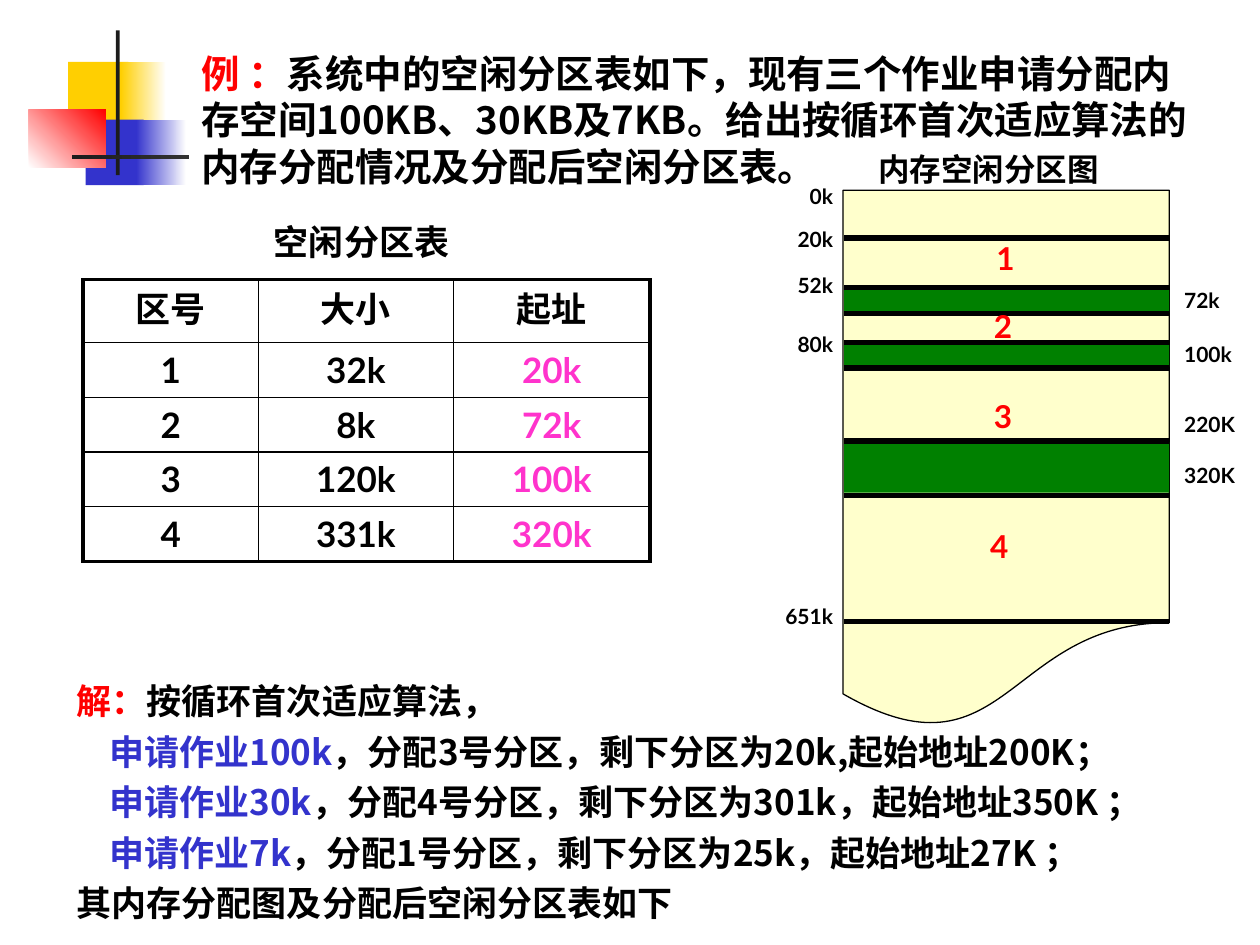
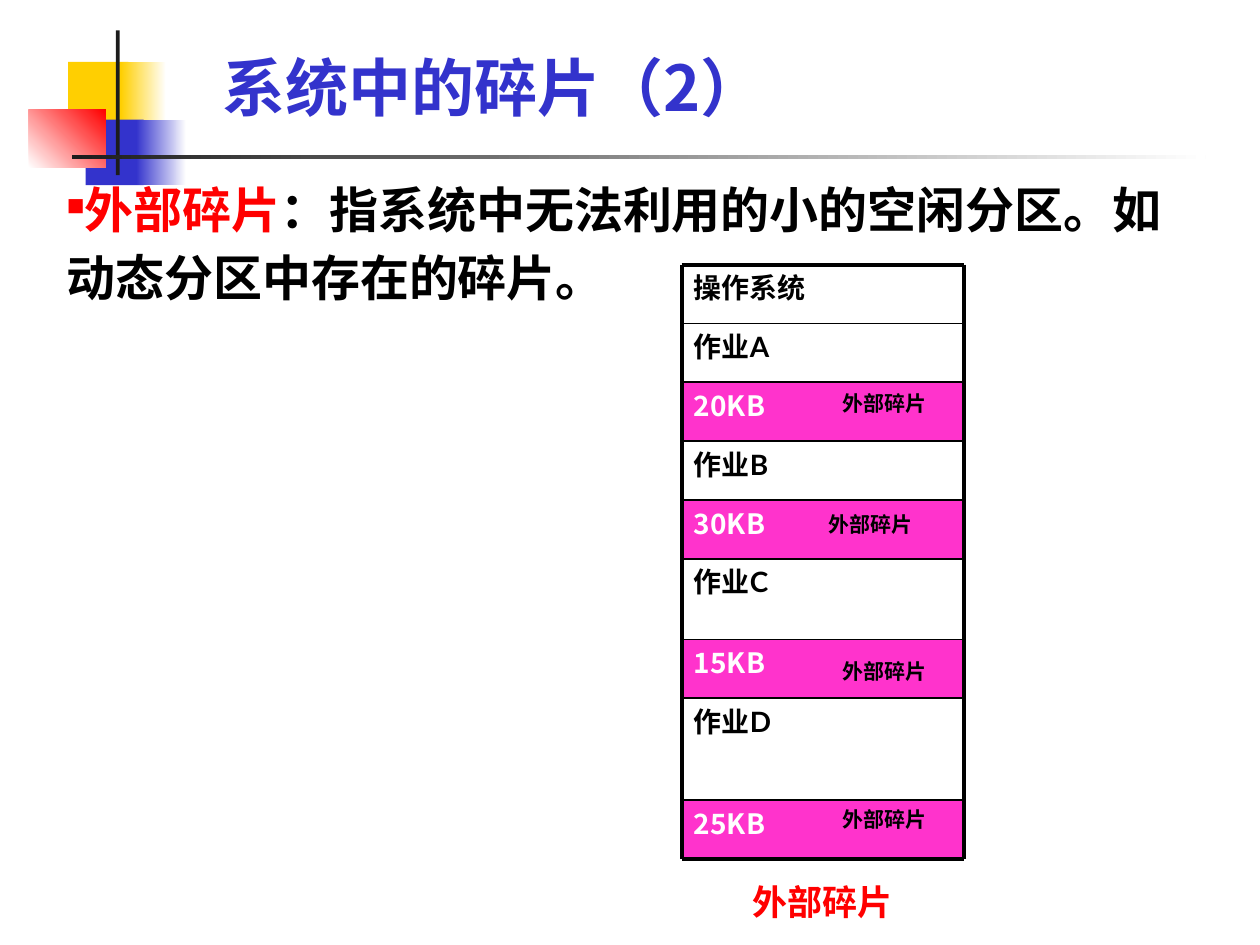
from dataclasses import dataclass
from itertools import accumulate

from lxml.etree import SubElement
from pptx import Presentation
from pptx.dml.color import RGBColor
from pptx.enum.shapes import MSO_CONNECTOR, MSO_SHAPE
from pptx.enum.text import MSO_ANCHOR, PP_ALIGN
from pptx.oxml.ns import qn
from pptx.util import Inches, Pt


@dataclass(frozen=True)
class Theme:
    black: str = "000000"
    white: str = "FFFFFF"
    ink: str = "1C1C1C"
    blue: str = "3333CC"
    red: str = "FF0000"
    yellow: str = "FFCF01"
    pink: str = "FF33CC"
    green: str = "008000"
    cream: str = "FFFFCC"
    latin: str = "Lato"
    chinese: str = "Noto Sans CJK SC"
    serif: str = "Times New Roman"
    title: int = 36
    body: int = 28
    question: int = 22
    text: int = 20
    caption: int = 18
    block: int = 16
    small: int = 12
    leading: float = 1.2
    thin: float = 1
    outer: float = 2.25
    heavy: float = 3


THEME = Theme()
COLUMNS, ROWS = 100, 75  # grid of the whole slide


def grid(units):
    return Inches(units * 10 / COLUMNS)


@dataclass(frozen=True)
class Box:
    """A region of the slide, in grid columns and rows."""
    left: float
    top: float
    width: float
    height: float

    def inner(self, left, top, width, height):
        return Box(self.left + left, self.top + top, width, height)

    def place(self):
        return [grid(v) for v in (self.left, self.top, self.width, self.height)]


def color(value):
    return RGBColor.from_string(value)


# ---- Basic elements ----
def write(frame, paragraphs, size, font=THEME.latin, align=PP_ALIGN.LEFT,
          spacing=1, indents=()):
    """Fill a frame; each paragraph is a list of (words, colour) runs."""
    for index, runs in enumerate(paragraphs):
        para = frame.paragraphs[0] if index == 0 else frame.add_paragraph()
        para.alignment = align
        para.line_spacing = Pt(size * THEME.leading * spacing)
        if indents:
            para._p.get_or_add_pPr().set("marL", str(grid(indents[index])))
        for words, tint in runs:
            span = para.add_run()
            span.text = words
            span.font.size, span.font.bold = Pt(size), True
            span.font.name = font
            span.font.color.rgb = color(tint)
            east_asian = SubElement(span._r.get_or_add_rPr(), qn("a:ea"))
            east_asian.set("typeface", THEME.chinese)


def add_text(page, box, paragraphs, size, wrap=True, anchor=MSO_ANCHOR.TOP, **style):
    frame = page.shapes.add_textbox(*box.place()).text_frame
    frame.word_wrap = wrap
    frame.vertical_anchor = anchor
    write(frame, paragraphs, size, **style)
    return frame


def add_block(page, box, fill, fade=None, angle=0, kind=MSO_SHAPE.RECTANGLE):
    shape = page.shapes.add_shape(kind, *box.place())
    shape.shadow.inherit = False
    shape.line.fill.background()
    if fade:
        shape.fill.gradient()
        shape.fill.gradient_angle = angle
        for stop, tint in zip(shape.fill.gradient_stops, (fill, fade)):
            stop.color.rgb = color(tint)
    else:
        shape.fill.solid()
        shape.fill.fore_color.rgb = color(fill)
    return shape


def add_line(page, start, end, weight):
    line = page.shapes.add_connector(
        MSO_CONNECTOR.STRAIGHT, *[grid(v) for v in (*start, *end)])
    line.line.color.rgb = color(THEME.black)
    line.line.width = Pt(weight)
    SubElement(line._element.spPr, qn("a:effectLst"))


def add_page(deck):
    """Blank page with the shared corner ornament."""
    page = deck.slides.add_slide(deck.slide_layouts[6])
    corner = Box(2.3, 2.4, 93.4, 12.3)
    for place, fill, fade, angle in (
        ((3.1, 2.5, 4.8, 5.2), THEME.yellow, None, 0),
        ((7.3, 2.5, 3.6, 5.2), THEME.yellow, THEME.white, 0),
        ((4.5, 7.1, 4.6, 5.2), THEME.blue, None, 0),
        ((8.5, 7.1, 4, 5.2), THEME.blue, THEME.white, 0),
        ((0, 6.3, 6.1, 4.6), THEME.white, THEME.red, 45),
        ((6.9, 0, 0.3, 11.5), THEME.ink, None, 0),
        ((3.4, 9.9, 90, 0.35), THEME.ink, THEME.white, 0),
    ):
        add_block(page, corner.inner(*place), fill, fade, angle)
    return page


# ---- Slide 1 regions ----
def question(page, box):
    frame = add_block(page, box, THEME.white).text_frame
    frame.word_wrap = True
    frame.vertical_anchor = MSO_ANCHOR.TOP
    write(frame, [[
        ("例 ：", THEME.red),
        ("系统中的空闲分区表如下，现有三个作业申请分配内存空间100KB、30KB及7KB。"
         "给出按循环首次适应算法的内存分配情况及分配后空闲分区表。", THEME.black),
    ]], THEME.question, font=THEME.chinese)


def set_borders(cell, weights):
    properties = cell._tc.get_or_add_tcPr()
    for index, (side, weight) in enumerate(weights.items()):
        edge = properties.makeelement(qn(f"a:ln{side}"), {"w": str(Pt(weight))})
        fill = SubElement(edge, qn("a:solidFill"))
        SubElement(fill, qn("a:srgbClr")).set("val", THEME.black)
        properties.insert(index, edge)


def free_table(page, box):
    add_text(page, box.inner(6.7, 0, 30.8, 4.3), [[("空闲分区表", THEME.black)]],
             THEME.text, align=PP_ALIGN.CENTER)
    rows = [("区号", "大小", "起址"), ("1", "32k", "20k"), ("2", "8k", "72k"),
            ("3", "120k", "100k"), ("4", "331k", "320k")]
    widths, header, height = (13.9, 15.5, 15.6), 5, 4.34
    place = box.inner(0, 5.2, sum(widths), header + height * 4).place()
    table = page.shapes.add_table(len(rows), len(widths), *place).table
    table.first_row = table.horz_banding = False
    for column, width in zip(table.columns, widths):
        column.width = grid(width)
    for r, row in enumerate(rows):
        table.rows[r].height = grid(height if r else header)
        for c, words in enumerate(row):
            cell = table.cell(r, c)
            cell.fill.background()
            cell.vertical_anchor = MSO_ANCHOR.MIDDLE
            tint = THEME.pink if r and c == 2 else THEME.black
            write(cell.text_frame, [[(words, tint)]], THEME.text,
                  align=PP_ALIGN.CENTER)
            on_edge = {"L": c == 0, "R": c == 2, "T": r == 0, "B": r == 4}
            set_borders(cell, {side: THEME.outer if edge else THEME.thin
                               for side, edge in on_edge.items()})


def memory_map(page, box):
    strip = add_block(page, box, THEME.cream, kind=MSO_SHAPE.FLOWCHART_DOCUMENT)
    strip.line.color.rgb = color(THEME.black)
    strip.line.width = Pt(0.75)
    add_text(page, box.inner(1.8, -3.7, 22.2, 4), [[("内存空闲分区图", THEME.black)]],
             THEME.caption, font=THEME.serif)

    # Occupied areas and dividing lines
    for top, height in ((7.9, 1.8), (12.3, 1.7), (20, 4)):
        add_block(page, box.inner(0.1, top, 25.8, height), THEME.green)
    for y in (3.8, 7.7, 9.8, 12.1, 14.1, 19.9, 24.2, 34.2):
        add_line(page, (box.left + 0.1, box.top + y),
                 (box.left + box.width, box.top + y), THEME.heavy)

    # Addresses, centred on their heights
    left_labels = {"0k": 0.5, "20k": 3.9, "52k": 7.5, "80k": 12.2, "651k": 33.8}
    right_labels = {"72k": 8.7, "100k": 13, "220K": 18.6, "320K": 22.6}
    for labels, x, align in ((left_labels, -10.6, PP_ALIGN.RIGHT),
                             (right_labels, 26.1, PP_ALIGN.LEFT)):
        for words, y in labels.items():
            # Right-hand boxes end at the slide's edge
            width = min(10.8, COLUMNS - box.left - x)
            add_text(page, box.inner(x, y - 1.5, width, 3), [[(words, THEME.black)]],
                     THEME.small, anchor=MSO_ANCHOR.MIDDLE, align=align)

    # Numbers of the free areas
    for number, (x, y) in enumerate(
            ((11.2, 3.4), (11, 8.8), (11, 15.9), (10.7, 26.2)), 1):
        add_text(page, box.inner(x, y, 3.6, 4), [[(str(number), THEME.red)]],
                 THEME.caption, wrap=False)


def solution(page, box):
    steps = (("申请作业100k", "，分配3号分区，剩下分区为20k,起始地址200K；"),
             ("申请作业30k", "，分配4号分区，剩下分区为301k，起始地址350K ；"),
             ("申请作业7k", "，分配1号分区，剩下分区为25k，起始地址27K ；"))
    lines = [[("解：", THEME.red), ("按循环首次适应算法，", THEME.black)]]
    lines += [[(job, THEME.blue), (result, THEME.black)] for job, result in steps]
    lines.append([("其内存分配图及分配后空闲分区表如下", THEME.black)])
    add_text(page, box, lines, THEME.text, font=THEME.chinese, spacing=1.2,
             indents=(0, 2.6, 2.6, 2.6, 0))


# ---- Slide 2 regions ----
def heading(page, box, words):
    add_text(page, box, [[(words, THEME.blue)]], THEME.title,
             font=THEME.chinese, anchor=MSO_ANCHOR.MIDDLE)


def definition(page, box):
    frame = add_text(page, box, [[
        ("外部碎片", THEME.red),
        ("：指系统中无法利用的小的空闲分区。如动态分区中存在的碎片。", THEME.black),
    ]], THEME.body, font=THEME.chinese, spacing=1.15)
    properties = frame.paragraphs[0]._p.get_or_add_pPr()
    properties.set("marL", "0")
    properties.set("indent", "0")
    tint = SubElement(properties, qn("a:buClr"))
    SubElement(tint, qn("a:srgbClr")).set("val", THEME.red)
    SubElement(properties, qn("a:buSzPct")).set("val", "50000")
    SubElement(properties, qn("a:buChar")).set("char", "■")


def fragment_stack(page, box):
    usual = 4.67
    # Words, height, and offset of the fragment label if there is one
    blocks = (("操作系统", usual, None), ("作业A", usual, None),
              ("20KB", usual, (11.8, 0.2)), ("作业B", usual, None),
              ("30KB", usual, (10.7, 0.4)), ("作业C", 6.4, None),
              ("15KB", usual, (11.8, 1)), ("作业D", 8.1, None),
              ("25KB", usual, (11.8, 0)))
    edges = list(accumulate((height for _, height, _ in blocks), initial=0))
    for (words, height, label), top in zip(blocks, edges):
        place = box.inner(0, top, box.width, height)
        if label:
            frame = add_block(page, place, THEME.pink).text_frame
            frame.vertical_anchor = MSO_ANCHOR.TOP
            write(frame, [[(words, THEME.white)]], THEME.block, font=THEME.chinese)
            add_text(page, place.inner(*label, 11.7, 3),
                     [[("外部碎片", THEME.black)]], THEME.small)
        else:
            add_text(page, place, [[(words, THEME.black)]], THEME.block)

    # Rules between blocks and the outer frame
    right, bottom = box.left + box.width, box.top + edges[-1]
    for edge in edges:
        y = box.top + edge
        weight = THEME.outer if edge in (edges[0], edges[-1]) else THEME.thin
        add_line(page, (box.left, y), (right, y), weight)
    for x in (box.left, right):
        add_line(page, (x, box.top), (x, bottom), THEME.outer)
    add_text(page, box.inner(4.6, 48.4, 15.8, 4.3), [[("外部碎片", THEME.red)]],
             THEME.text)


# ---- Slides ----
def allocation_slide(deck):
    page = add_page(deck)
    free_table(page, Box(6.6, 17, 45, 27.4))
    solution(page, Box(5.1, 52.8, 94.9, 21))
    question(page, Box(15, 3.5, 80.8, 12))
    memory_map(page, Box(66.9, 15.1, 25.9, 42.8))


def fragment_slide(deck):
    page = add_page(deck)
    heading(page, Box(16.7, 3.8, 60.1, 6.1), "系统中的碎片（2）")
    fragment_stack(page, Box(54.1, 21, 22.4, 47.2))
    definition(page, Box(4.3, 13.1, 89.8, 11.7))


def main():
    deck = Presentation()
    deck.slide_width, deck.slide_height = grid(COLUMNS), grid(ROWS)
    allocation_slide(deck)
    fragment_slide(deck)
    deck.save("out.pptx")


if __name__ == "__main__":
    main()
